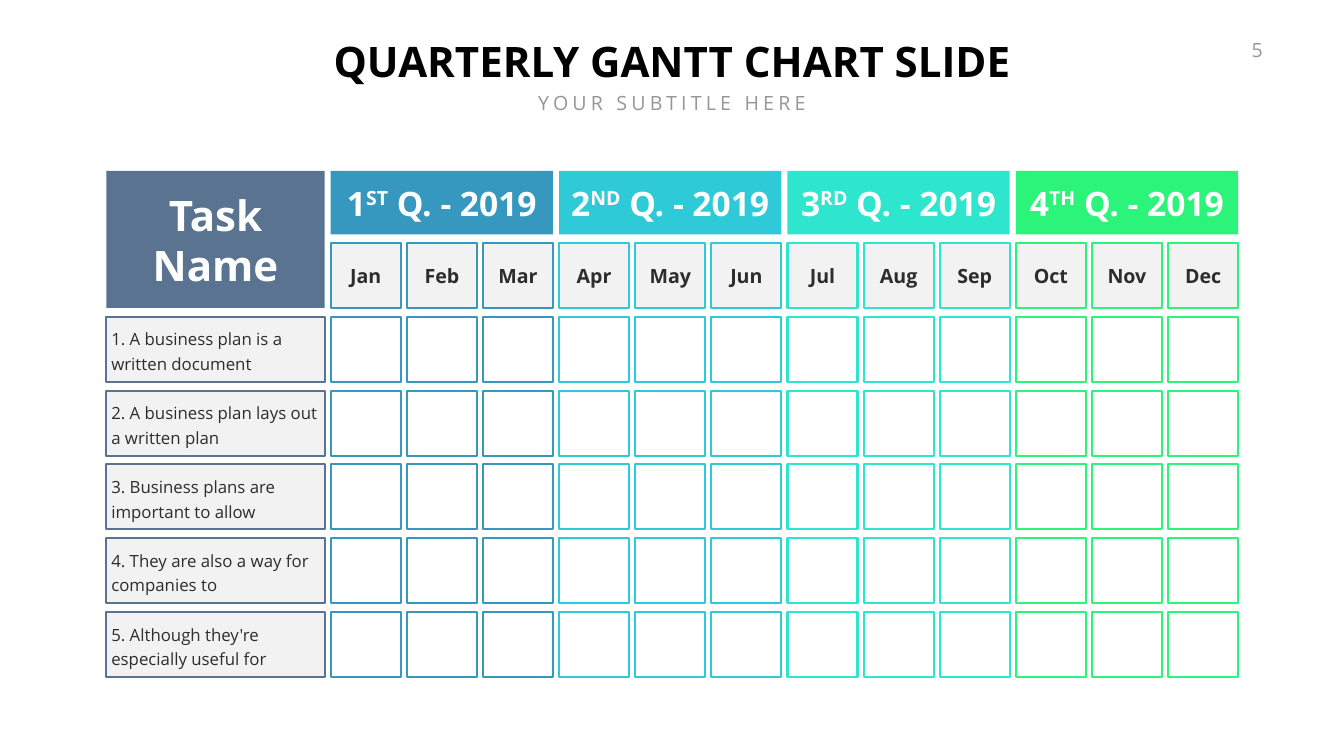
import pptx
import pptx.util
import pptx.dml.color
import pptx.enum.shapes
import pptx.enum.text

WIDE, HIGH = 26.66, 15
LEFT, TOP = 2.11, 3.39
GRID_X, GRID_Y = 6.56, 4.82
STEP_X, STEP_Y = 1.51, 1.465
CELL_W, CELL_H = 1.39, 1.29
TASK_W, HEAD_H = 4.33, 1.26
FONT = "Open Sans"
HUES = {
    "task": "597390", "q1": "3698BF", "q2": "2ECAD7", "q3": "2EE5CD",
    "q4": "2CF37A", "pale": "F2F2F2", "white": "FFFFFF",
    "dark": "2D2D2D", "black": "000000", "gray": "969696",
}
TERMS = [
    ("q1", "1", "ST", ["Jan", "Feb", "Mar"]),
    ("q2", "2", "ND", ["Apr", "May", "Jun"]),
    ("q3", "3", "RD", ["Jul", "Aug", "Sep"]),
    ("q4", "4", "TH", ["Oct", "Nov", "Dec"]),
]
TASKS = [
    "1. A business plan is a written document",
    "2. A business plan lays out a written plan",
    "3. Business plans are important to allow",
    "4. They are also a way for companies to",
    "5. Although they're especially useful for",
]


def hue(name):
    return pptx.dml.color.RGBColor.from_string(HUES[name])


def inch(*sizes):
    return [pptx.util.Inches(size) for size in sizes]


def write(shape, *parts, size=28, color="dark", bold=False, align="CENTER",
          space=0, lead=None, side=0.1, wrap=True, raised=None):
    frame = shape.text_frame
    frame.word_wrap = wrap
    frame.auto_size = pptx.enum.text.MSO_AUTO_SIZE.NONE
    frame.vertical_anchor = pptx.enum.text.MSO_ANCHOR.MIDDLE
    frame.margin_left = frame.margin_right = pptx.util.Inches(side)
    line = frame.paragraphs[0]
    line.alignment = getattr(pptx.enum.text.PP_ALIGN, align)
    if lead:
        line.line_spacing = pptx.util.Pt(lead)
    for spot, part in enumerate(parts):
        run = line.add_run()
        run.text = part
        run.font.name = FONT
        run.font.size = pptx.util.Pt(size)
        run.font.bold = bold
        run.font.color.rgb = hue(color)
        if space:
            run.font._element.set("spc", str(space * 100))
        if spot == raised:
            run.font._element.set("baseline", "30000")


def box(slide, x, y, w, h, fill, edge=None):
    shape = slide.shapes.add_shape(
        pptx.enum.shapes.MSO_SHAPE.RECTANGLE, *inch(x, y, w, h))
    shape.shadow.inherit = False
    shape.fill.solid()
    shape.fill.fore_color.rgb = hue(fill)
    if edge:
        shape.line.color.rgb = hue(edge)
        shape.line.width = pptx.util.Pt(3)
    else:
        shape.line.fill.background()
    return shape


def cell(slide, col, row, fill, edge):
    return box(slide, GRID_X + col * STEP_X, GRID_Y + row * STEP_Y,
               CELL_W, CELL_H, fill, edge)


def heading(slide):
    title = slide.shapes.title
    title.left, title.top, title.width, title.height = inch(6.45, 0.64, 13.76, 1.11)
    write(title, "QUARTERLY GANTT CHART SLIDE", size=60, color="black",
          bold=True, wrap=False)
    under = slide.shapes.add_textbox(*inch(10.51, 1.75, 5.64, 0.57))
    write(under, "YOUR SUBTITLE HERE", color="gray", space=6, wrap=False)
    number = slide.shapes.add_textbox(*inch(24.33, 0.7, 0.82, 0.57))
    write(number, "5", color="gray", space=3, align="RIGHT", wrap=False)


def tasks(slide):
    corner = box(slide, LEFT, TOP, TASK_W, GRID_Y + CELL_H - TOP, "task")
    write(corner, "Task Name", size=60, color="white", bold=True)
    for row, task in enumerate(TASKS, 1):
        label = box(slide, LEFT, GRID_Y + row * STEP_Y, TASK_W, CELL_H,
                    "pale", "task")
        write(label, task, size=24, align="LEFT", lead=35)


def quarter(slide, first, color, digit, suffix, months):
    span = (len(months) - 1) * STEP_X + CELL_W
    head = box(slide, GRID_X + first * STEP_X, TOP, span, HEAD_H, color)
    write(head, digit, suffix, " Q. - 2019", size=48, color="white",
          bold=True, raised=1)
    for col, month in enumerate(months, first):
        write(cell(slide, col, 0, "pale", color), month, bold=True, side=0)
        for row in range(1, len(TASKS) + 1):
            cell(slide, col, row, "white", color)


def main():
    deck = pptx.Presentation()
    deck.slide_width, deck.slide_height = inch(WIDE, HIGH)
    slide = deck.slides.add_slide(deck.slide_layouts[5])
    heading(slide)
    tasks(slide)
    for index, term in enumerate(TERMS):
        quarter(slide, index * 3, *term)
    deck.save("out.pptx")


if __name__ == "__main__":
    main()
